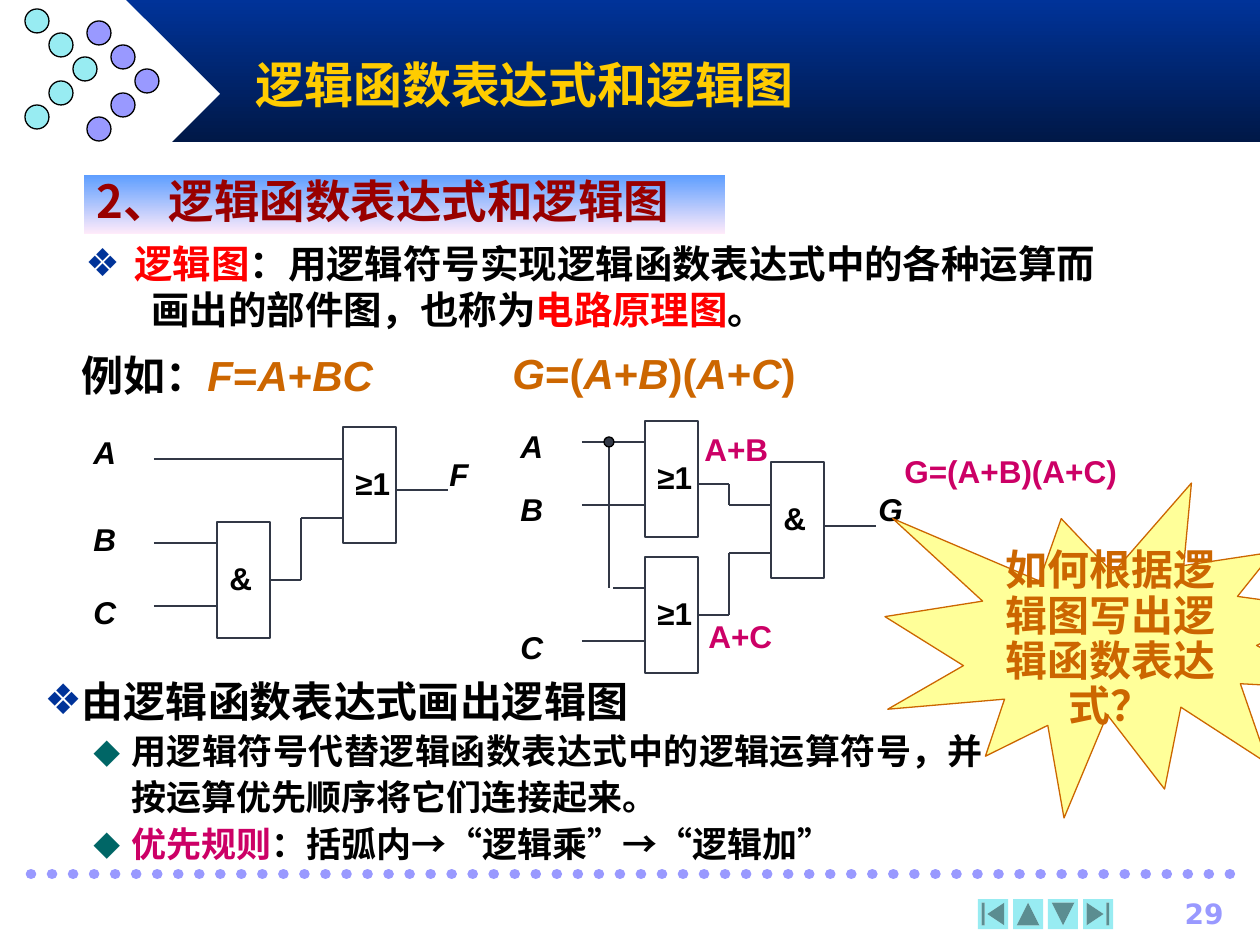
from dataclasses import dataclass
from itertools import groupby

from lxml.etree import SubElement
from pptx import Presentation
from pptx.dml.color import RGBColor
from pptx.enum.shapes import MSO_CONNECTOR as Link, MSO_SHAPE as Shape
from pptx.enum.text import MSO_ANCHOR as Anchor, PP_ALIGN as Align
from pptx.oxml.ns import qn
from pptx.util import Emu, Pt


@dataclass(frozen=True)
class Theme:
    navy: str = "003399"
    midnight: str = "001847"
    violet: str = "9999FF"
    cyan: str = "98ECF2"
    gold: str = "FFCC00"
    sky: str = "5E9EFF"
    blush: str = "FFEBFA"
    maroon: str = "990000"
    red: str = "FF0000"
    orange: str = "CC6600"
    magenta: str = "CC0066"
    teal: str = "006666"
    yellow: str = "FFFF99"
    ink: str = "323846"
    black: str = "000000"
    white: str = "FFFFFF"
    grey: str = "C0C0C0"
    title: int = 28
    heading: int = 26
    large: int = 24
    body: int = 22
    detail: int = 20
    label: int = 18
    number: int = 16
    latin: str = "Arial"
    serif: str = "Times New Roman"
    sans: str = "DejaVu Sans"
    chinese: str = "Noto Sans CJK SC"
    japanese: str = "Noto Sans CJK JP"


T = Theme()
EMU_PER_PX = 914400 / 126


def px(length):
    return Emu(round(length * EMU_PER_PX))


def rgb(color):
    return RGBColor.from_string(color)


def add_bullet(props, char, color, percent):
    tint = SubElement(props, qn("a:buClr"))
    SubElement(tint, qn("a:srgbClr"), val=color)
    SubElement(props, qn("a:buSzPct"), val=str(percent * 1000))
    SubElement(props, qn("a:buFont"), typeface=T.sans)
    SubElement(props, qn("a:buChar"), char=char)


def add_glow_shadow(run_props):
    effects = SubElement(run_props, qn("a:effectLst"))
    cast = SubElement(effects, qn("a:outerShdw"), dist="17961", dir="2700000")
    SubElement(cast, qn("a:srgbClr"), val=T.grey)


def write(frame, text, size, color=T.black, font=T.latin, italic=False, align=Align.LEFT,
          spacing=None, margin=0, indent=0, bullet=None, shadow=False):
    """Add a paragraph; text is a string or a list of (string, run format) pairs."""
    para = frame.add_paragraph() if frame.text else frame.paragraphs[0]
    props = para._p.get_or_add_pPr()
    props.set("marL", str(px(margin)))
    props.set("indent", str(px(indent)))
    if bullet:
        add_bullet(props, *bullet)
    para.alignment = align
    para.line_spacing = spacing
    for words, style in [(text, {})] if isinstance(text, str) else text:
        run = para.add_run()
        run.text = words
        run.font.size = Pt(size)
        run.font.bold = True
        run.font.italic = style.get("italic", italic)
        run.font.color.rgb = rgb(style.get("color", color))
        run_props = run._r.get_or_add_rPr()
        run_props.set("lang", "zh-CN")
        if shadow:
            add_glow_shadow(run_props)
        run.font.name = style.get("font", font)
        east = T.japanese if font == T.japanese else T.chinese
        SubElement(run_props, qn("a:ea"), typeface=east)


def formula(expression, **style):
    """Letters slanted, operators upright."""
    return [("".join(part), {"italic": slanted, **style})
            for slanted, part in groupby(expression, str.isalpha)]


def text_box(slide, x, y, w, h):
    frame = slide.shapes.add_textbox(px(x), px(y), px(w), px(h)).text_frame
    frame.word_wrap = True
    return frame


def shape(slide, kind, x, y, w, h, fill=None, line=None):
    item = slide.shapes.add_shape(kind, px(x), px(y), px(w), px(h))
    item.shadow.inherit = False
    if isinstance(fill, tuple):
        item.fill.gradient()
        item.fill.gradient_angle = 270
        for stop, color in zip(item.fill.gradient_stops, fill):
            stop.color.rgb = rgb(color)
    elif fill:
        item.fill.solid()
        item.fill.fore_color.rgb = rgb(fill)
    else:
        item.fill.background()
    if line:
        item.line.color.rgb = rgb(line)
        item.line.width = Pt(0.75)
    else:
        item.line.fill.background()
    return item


def wire(slide, x1, y1, x2, y2, color=T.ink, width=0.75, source=None):
    link = slide.shapes.add_connector(Link.STRAIGHT, px(x1), px(y1), px(x2), px(y2))
    link.line.color.rgb = rgb(color)
    link.line.width = Pt(width)
    SubElement(link._element.spPr, qn("a:effectLst"))
    if source:
        link.begin_connect(source, 3)
    return link


def wire_path(slide, *points, source=None):
    for start, end in zip(points, points[1:]):
        wire(slide, *start, *end, source=source)
        source = None


def gate(slide, symbol, x, y):
    write(text_box(slide, x, y + 31, 63, 50), symbol, T.label)
    return shape(slide, Shape.RECTANGLE, x, y, 53, 116, line=T.ink)


def signals(slide, places):
    for name, x, y in places:
        write(text_box(slide, x, y, 63, 50), name, T.label, italic=True)


def draw_frame(slide):
    # Header band with the dot arrow
    shape(slide, Shape.RECTANGLE, 126, 0, 1134, 142, (T.navy, T.midnight))
    shape(slide, Shape.DIAMOND, 32, 0, 188, 188, T.white)
    for left, top, color in ((87, 21, T.violet), (25, 9, T.cyan)):
        for row in range(5):
            shape(slide, Shape.OVAL, left + 24 * (2 - abs(2 - row)), top + 24 * row,
                  24, 24, color, T.black)
    # Dotted footer rule
    rule = wire(slide, 31, 874, 1239, 874, T.violet, 6)
    outline = rule.line._get_or_add_ln()
    outline.set("cap", "rnd")
    SubElement(outline, qn("a:prstDash"), val="sysDot")
    # Navigation buttons
    buttons = ((Shape.ACTION_BUTTON_BEGINNING, 0), (Shape.ACTION_BUTTON_BACK_OR_PREVIOUS, 90),
               (Shape.ACTION_BUTTON_FORWARD_OR_NEXT, 90), (Shape.ACTION_BUTTON_END, 0))
    for i, (kind, turn) in enumerate(buttons):
        shape(slide, kind, 978 + 35 * i, 899, 30, 30, T.cyan).rotation = turn
    write(text_box(slide, 1116, 890, 120, 42), "29", T.number, T.violet, T.sans, align=Align.RIGHT)


def draw_intro(slide):
    title = text_box(slide, 243, 42, 804, 84)
    title.vertical_anchor = Anchor.MIDDLE
    write(title, "逻辑函数表达式和逻辑图", T.title, T.gold)
    heading = shape(slide, Shape.RECTANGLE, 84, 175, 641, 59, (T.sky, T.blush)).text_frame
    heading.vertical_anchor = Anchor.TOP
    heading.word_wrap = True
    write(heading, "2、逻辑函数表达式和逻辑图", T.heading, T.maroon, T.japanese, spacing=0.85)
    # Definition
    definition = text_box(slide, 73, 234, 1134, 106)
    write(definition, [("逻辑图", {"color": T.red}), ("：用逻辑符号实现逻辑函数表达式中的各种运算而", {})],
          T.body, font=T.serif, margin=49, indent=-49, bullet=("❖", T.navy, 100))
    write(definition, [("画出的部件图，也称为", {}), ("电路原理图", {"color": T.red}), ("。", {})],
          T.body, font=T.serif, margin=66)
    # Example formulas
    write(text_box(slide, 69, 343, 333, 63),
          [("例如：", {})] + formula("F=A+BC", color=T.orange), T.large)
    write(text_box(slide, 500, 341, 315, 63), formula("G=(A+B)(A+C)"), T.large, T.orange)


def draw_circuit_f(slide):
    gate(slide, "≥1", 343, 427)
    product = gate(slide, "&", 217, 522)
    wire(slide, 154, 459, 343, 459)
    wire_path(slide, (270, 580), (301, 580), (301, 518), (343, 518), source=product)
    for y in (543, 606):
        wire(slide, 154, y, 217, y)
    wire(slide, 396, 490, 448, 490)
    signals(slide, (("A", 81, 427), ("B", 81, 514), ("C", 81, 587), ("F", 437, 449)))


def draw_circuit_g(slide):
    gate(slide, "&", 771, 462)
    lower_sum = gate(slide, "≥1", 645, 557)
    gate(slide, "≥1", 645, 421)
    wire_path(slide, (698, 615), (729, 615), (729, 553), (771, 553), source=lower_sum)
    wire_path(slide, (698, 484), (729, 484), (729, 505), (771, 505))
    for y in (442, 505, 641):
        wire(slide, 582, y, 645, y)
    wire(slide, 824, 526, 876, 526)
    # Branch of A to the lower gate
    wire(slide, 645, 588, 613, 588)
    wire(slide, 609, 588, 609, 442)
    shape(slide, Shape.OVAL, 604, 437, 10, 10, T.ink, T.black)
    signals(slide, (("A", 508, 421), ("B", 508, 484), ("C", 508, 622), ("G", 866, 484)))


def draw_method(slide):
    method = text_box(slide, 32, 669, 963, 202)
    write(method, "由逻辑函数表达式画出逻辑图", T.large, font=T.chinese,
          margin=37, indent=-37, bullet=("❖", T.navy, 100))
    arial = {"font": T.latin}
    steps = ("用逻辑符号代替逻辑函数表达式中的逻辑运算符号，并按运算优先顺序将它们连接起来。",
             [("优先规则", {"color": T.magenta}), ("：括弧内", {}), ("→“", arial),
              ("逻辑乘", {}), ("”→“", arial), ("逻辑加", {}), ("”", arial)])
    for step in steps:
        write(method, step, T.detail, font=T.chinese, align=Align.JUSTIFY, spacing=1.1,
              margin=87, indent=-38, bullet=("⬥", T.teal, 110))


def draw_question(slide):
    burst = shape(slide, Shape.EXPLOSION1, 885, 483, 456, 335, T.yellow, T.orange).text_frame
    burst.word_wrap = True
    burst.vertical_anchor = Anchor.MIDDLE
    write(burst, "如何根据逻辑图写出逻辑函数表达式？", T.large, T.orange, T.serif,
          align=Align.CENTER, spacing=0.9)
    # Answers at the gate outputs
    for answer, x, y, w in (("A+B", 692, 420, 97), ("A+C", 696, 607, 97),
                            ("G=(A+B)(A+C)", 892, 442, 256)):
        write(text_box(slide, x, y, w, 54), answer, T.label, T.magenta,
              align=Align.JUSTIFY, spacing=1.1, shadow=True)


def main():
    deck = Presentation()
    deck.slide_width, deck.slide_height = px(1260), px(945)
    slide = deck.slides.add_slide(deck.slide_layouts[6])
    for draw in (draw_frame, draw_intro, draw_circuit_f, draw_circuit_g,
                 draw_method, draw_question):
        draw(slide)
    deck.save("out.pptx")


if __name__ == "__main__":
    main()
